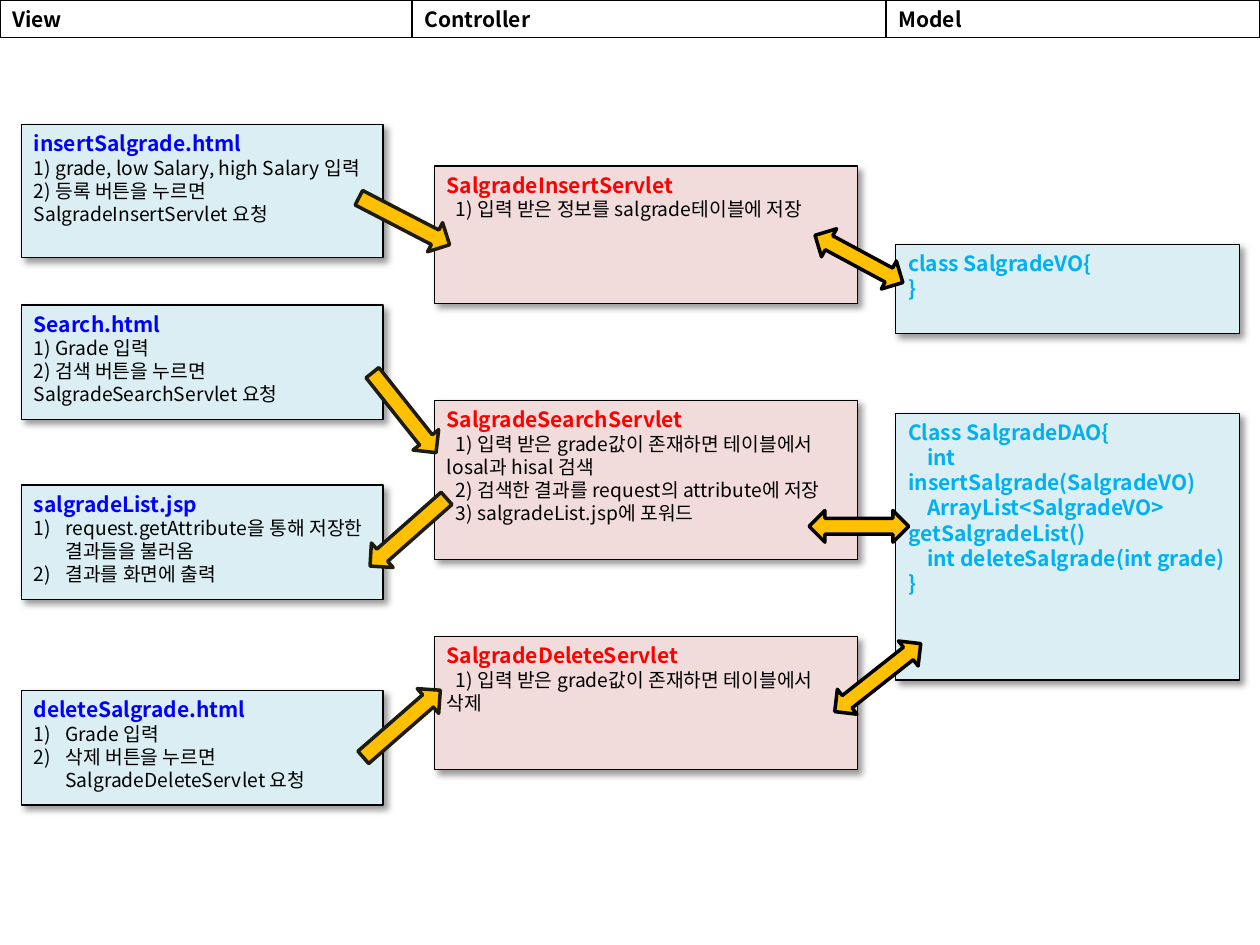
from lxml.etree import SubElement
from pptx import Presentation
from pptx.dml.color import RGBColor
from pptx.enum.shapes import MSO_SHAPE
from pptx.enum.text import MSO_ANCHOR, PP_ALIGN
from pptx.oxml.ns import qn
from pptx.util import Cm, Pt

FONT = "Noto Sans CJK KR"
COLORS = {
    "black": "000000", "blue": "0000FF", "red": "FF0000", "cyan": "00B0F0",
    "pale_blue": "DBEEF4", "pale_red": "F2DCDB", "gold": "FFC000", "dark": "1E1C11",
}
HEADER_HEIGHT = 0.76

COLUMNS = [
    {"name": "View", "header_width": 8.31, "left": 0.43, "width": 7.29,
     "fill": "pale_blue", "heading": "blue", "body": ("black", 11, False),
     "boxes": [
         (2.51, 2.69, "insertSalgrade.html", "plain",
          ["1) grade, low Salary, high Salary 입력",
           "2) 등록 버튼을 누르면 SalgradeInsertServlet 요청"]),
         (6.15, 2.31, "Search.html", "plain",
          ["1) Grade 입력", "2) 검색 버튼을 누르면 SalgradeSearchServlet 요청"]),
         (9.78, 2.31, "salgradeList.jsp", "numbered",
          ["request.getAttribute을 통해 저장한 결과들을 불러옴", "결과를 화면에 출력"]),
         (13.92, 2.31, "deleteSalgrade.html", "numbered",
          ["Grade 입력", "삭제 버튼을 누르면 SalgradeDeleteServlet 요청"]),
     ]},
    {"name": "Controller", "header_width": 9.55, "left": 8.76, "width": 8.53,
     "fill": "pale_red", "heading": "red", "body": ("black", 11, False),
     "boxes": [
         (3.35, 2.77, "SalgradeInsertServlet", "step",
          ["1) 입력 받은 정보를 salgrade테이블에 저장"]),
         (8.08, 3.2, "SalgradeSearchServlet", "step",
          ["1) 입력 받은 grade값이 존재하면 테이블에서 losal과 hisal 검색",
           "2) 검색한 결과를 request의 attribute에 저장",
           "3) salgradeList.jsp에 포워드"]),
         (12.83, 2.69, "SalgradeDeleteServlet", "step",
          ["1) 입력 받은 grade값이 존재하면 테이블에서 삭제"]),
     ]},
    {"name": "Model", "header_width": 7.54, "left": 18.06, "width": 6.93,
     "fill": "pale_blue", "heading": "cyan", "body": ("cyan", 12, True),
     "boxes": [
         (4.93, 1.8, "class SalgradeVO{", "code", ["}"]),
         (8.33, 5.38, "Class SalgradeDAO{", "code",
          ["int insertSalgrade(SalgradeVO)",
           "ArrayList<SalgradeVO> getSalgradeList()",
           "int deleteSalgrade(int grade)", "}"]),
     ]},
]

ARROWS = [
    (MSO_SHAPE.DOWN_ARROW, "dark", 0.66, 2.06,
     [(7.82, 3.43, 297.4), (7.82, 7.29, 321.5), (7.9, 9.7, 48.5), (7.77, 13.56, 228.9)]),
    (MSO_SHAPE.LEFT_RIGHT_ARROW, "black", 2.01, 0.64,
     [(16.31, 4.9, 28.3), (16.31, 10.29, 0)]),
    (MSO_SHAPE.LEFT_RIGHT_ARROW, "black", 2.21, 0.64, [(16.59, 13.34, 321.7)]),
]

INDENTS = {"plain": (0, 0), "numbered": (0.64, -0.64), "step": (0, 0.18), "code": (0, 0.38)}


def color(name):
    return RGBColor.from_string(COLORS[name])


def add_shape(kind, left, top, width, height, fill, line="black", line_width=0.75):
    shape = slide.shapes.add_shape(kind, Cm(left), Cm(top), Cm(width), Cm(height))
    if fill:
        shape.fill.solid()
        shape.fill.fore_color.rgb = color(fill)
    else:
        shape.fill.background()
    shape.line.color.rgb = color(line)
    shape.line.width = Pt(line_width)
    shape.shadow.inherit = False
    return shape


def add_shadow(shape):
    effects = shape._element.spPr.find(qn("a:effectLst"))
    shadow = SubElement(effects, qn("a:outerShdw"), blurRad=str(Pt(4)), dist=str(Pt(3)),
                        dir="2700000", algn="tl", rotWithShape="0")
    black = SubElement(shadow, qn("a:srgbClr"), val=COLORS["black"])
    SubElement(black, qn("a:alpha"), val="40000")


def write(shape, lines):
    frame = shape.text_frame
    frame.word_wrap = True
    frame.vertical_anchor = MSO_ANCHOR.TOP
    frame.text = "\n".join(text for text, style, layout in lines)
    for paragraph, (text, style, layout) in zip(frame.paragraphs, lines):
        paragraph.alignment = PP_ALIGN.LEFT
        properties = paragraph._p.get_or_add_pPr()
        margin, indent = INDENTS["plain" if text == "}" else layout]
        properties.set("marL", str(Cm(margin)))
        properties.set("indent", str(Cm(indent)))
        if layout == "numbered":
            SubElement(properties, qn("a:buAutoNum"), type="arabicParenR")
        for run in paragraph.runs:
            name, size, bold = style
            run.font.name = FONT
            run.font.size = Pt(size)
            run.font.bold = bold
            run.font.color.rgb = color(name)
            SubElement(run.font._element, qn("a:ea"), typeface=FONT)


presentation = Presentation()
presentation.slide_width = Cm(25.4)
presentation.slide_height = Cm(19.05)
slide = presentation.slides.add_slide(presentation.slide_layouts[6])

header_left = 0
for column in COLUMNS:
    header = add_shape(MSO_SHAPE.RECTANGLE, header_left, 0, column["header_width"],
                       HEADER_HEIGHT, None)
    write(header, [(column["name"], ("black", 12, True), "plain")])
    header_left += column["header_width"]
    for top, height, heading, layout, body in column["boxes"]:
        box = add_shape(MSO_SHAPE.RECTANGLE, column["left"], top, column["width"],
                        height, column["fill"])
        add_shadow(box)
        lines = [(heading, (column["heading"], 12, True), "plain")]
        write(box, lines + [(text, column["body"], layout) for text in body])

for kind, outline, width, height, places in ARROWS:
    for left, top, rotation in places:
        arrow = add_shape(kind, left, top, width, height, "gold", outline, 2)
        arrow.rotation = rotation

presentation.save("out.pptx")
